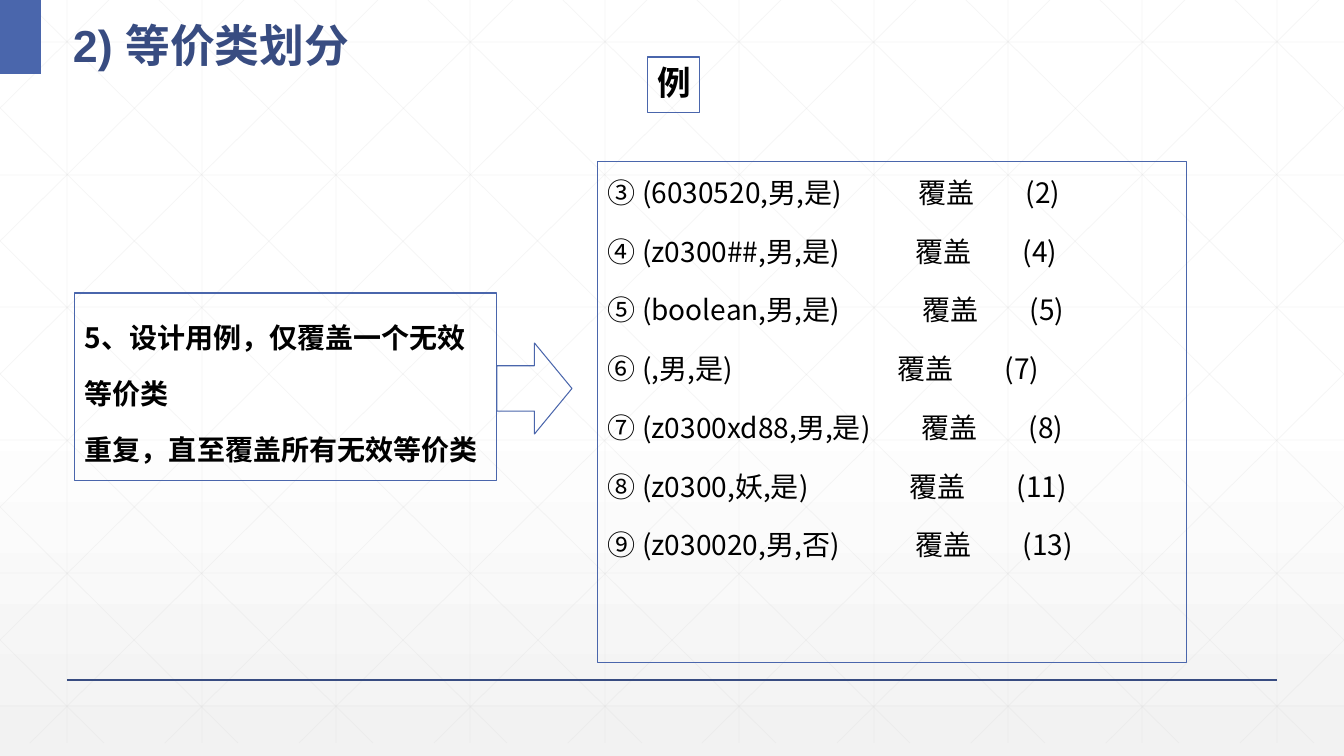
from copy import deepcopy
from dataclasses import dataclass

from lxml import etree
from pptx import Presentation
from pptx.dml.color import RGBColor
from pptx.enum.shapes import MSO_CONNECTOR, MSO_SHAPE
from pptx.enum.text import MSO_ANCHOR, PP_ALIGN
from pptx.oxml.ns import qn
from pptx.util import Pt

STRAIGHT = MSO_CONNECTOR.STRAIGHT
RECTANGLE = MSO_SHAPE.RECTANGLE
RIGHT_ARROW = MSO_SHAPE.RIGHT_ARROW
TOP = MSO_ANCHOR.TOP
MIDDLE = MSO_ANCHOR.MIDDLE
LEFT = PP_ALIGN.LEFT

COLORS = {
    "white": "FFFFFF",
    "mist": "F2F2F2",
    "grid": "D9D9D9",
    "navy": "384C81",
    "blue": "4A66AC",
    "black": "000000",
}
CJK = "Noto Sans CJK SC"
WIDTH, HEIGHT = 1344, 756
GRID_BOTTOM = 743
DIAGONAL_RUN = 751
DIAGONAL_OFFSET = 25
COLUMN_STEP = WIDTH / 10
ROW_START, ROW_STEP = 42, 132.7
COVERAGE_GAP = 107


@dataclass(frozen=True)
class Box:
    x: int
    y: int
    w: int
    h: int


@dataclass(frozen=True)
class Line:
    x1: int
    y1: int
    x2: int
    y2: int


@dataclass(frozen=True)
class TestCase:
    values: str
    covered: str
    tab: int


TEST_CASES = [
    TestCase("③ (6030520,男,是)", "(2)", 311),
    TestCase("④ (z0300##,男,是)", "(4)", 308),
    TestCase("⑤ (boolean,男,是)", "(5)", 315),
    TestCase("⑥ (,男,是)", "(7)", 290),
    TestCase("⑦ (z0300xd88,男,是)", "(8)", 314),
    TestCase("⑧ (z0300,妖,是)", "(11)", 302),
    TestCase("⑨ (z030020,男,否)", "(13)", 308),
]


def px(length: float) -> int:
    return round(length * 914400 / 100.8)


def rgb(color: str) -> RGBColor:
    return RGBColor.from_string(COLORS[color])


def draw_line(slide, line: Line, color: str, width: float, alpha: int = 100) -> None:
    connector = slide.shapes.add_connector(
        STRAIGHT, px(line.x1), px(line.y1), px(line.x2), px(line.y2)
    )
    connector.line.color.rgb = rgb(color)
    connector.line.width = Pt(width)
    properties = connector._element.spPr
    etree.SubElement(properties, qn("a:effectLst"))
    if alpha < 100:
        tone = properties.find(".//" + qn("a:srgbClr"))
        etree.SubElement(tone, qn("a:alpha"), val=str(alpha * 1000))


def draw_shape(slide, kind, box: Box, fill: str = "", outline: str = ""):
    shape = slide.shapes.add_shape(kind, px(box.x), px(box.y), px(box.w), px(box.h))
    shape.shadow.inherit = False
    if fill:
        shape.fill.solid()
        shape.fill.fore_color.rgb = rgb(fill)
    else:
        shape.fill.background()
    if outline:
        shape.line.color.rgb = rgb(outline)
        shape.line.width = Pt(0.75)
    else:
        shape.line.fill.background()
    return shape


def write_text(shape, paragraphs: list[str], *, size: int, color: str = "black",
               font: str = CJK, bold: bool = False, anchor=TOP, spacing=None,
               before: int = 0, tabs: list[list[int]] | None = None) -> None:
    frame = shape.text_frame
    frame.word_wrap = True
    frame.vertical_anchor = anchor
    for index, text in enumerate(paragraphs):
        paragraph = frame.add_paragraph() if index else frame.paragraphs[0]
        paragraph.alignment = LEFT
        if spacing:
            paragraph.line_spacing = spacing
        if index and before:
            paragraph.space_before = Pt(before)
        if tabs:
            stops = etree.SubElement(paragraph._p.get_or_add_pPr(), qn("a:tabLst"))
            for stop in tabs[index]:
                etree.SubElement(stops, qn("a:tab"), pos=str(px(stop)), algn="l")
        run = paragraph.add_run()
        run.text = text
        run.font.name = font
        run.font.size = Pt(size)
        run.font.bold = bold
        run.font.color.rgb = rgb(color)
        etree.SubElement(run._r.get_or_add_rPr(), qn("a:ea"), typeface=CJK)


def paint_background(slide) -> None:
    fill = slide.background.fill
    fill.gradient()
    fill.gradient_angle = 270
    first = slide._element.find(".//" + qn("a:gs"))
    first.addnext(deepcopy(first))
    tones = [(0, "white"), (0.53, "white"), (1, "mist")]
    for stop, (position, color) in zip(fill.gradient_stops, tones):
        stop.position = position
        stop.color.rgb = rgb(color)


def diagonal(start: float) -> Line:
    slope = GRID_BOTTOM / DIAGONAL_RUN
    left = max(start, 0)
    right = min(start + DIAGONAL_RUN, WIDTH)
    return Line(round(left), round((left - start) * slope),
                round(right), round((right - start) * slope))


def grid_lines() -> list[Line]:
    columns = [round(COLUMN_STEP * (i + 0.5)) for i in range(10)]
    rows = [round(ROW_START + ROW_STEP * i) for i in range(6)]
    falling = [diagonal(DIAGONAL_OFFSET + COLUMN_STEP * i) for i in range(-5, 10)]
    rising = [Line(WIDTH - d.x1, d.y1, WIDTH - d.x2, d.y2) for d in falling]
    return ([Line(x, 0, x, GRID_BOTTOM) for x in columns]
            + [Line(0, y, WIDTH, y) for y in rows] + falling + rising)


def main() -> None:
    deck = Presentation()
    deck.slide_width, deck.slide_height = px(WIDTH), px(HEIGHT)
    slide = deck.slides.add_slide(deck.slide_layouts[6])

    paint_background(slide)
    for line in grid_lines():
        draw_line(slide, line, "grid", 0.5, alpha=25)
    draw_line(slide, Line(67, 680, 1277, 680), "navy", 1)
    draw_shape(slide, RECTANGLE, Box(0, 0, 41, 74), fill="blue")

    title = slide.shapes.add_textbox(px(63), px(0), px(574), px(74))
    write_text(title, ["2) 等价类划分"], size=32, color="navy", font="Arial",
               bold=True, anchor=MIDDLE, spacing=1.3)

    example = draw_shape(slide, RECTANGLE, Box(648, 57, 52, 56), outline="blue")
    write_text(example, ["例"], size=24, bold=True)

    step = draw_shape(slide, RECTANGLE, Box(75, 293, 422, 188), outline="blue")
    write_text(step, ["5、设计用例，仅覆盖一个无效等价类", "重复，直至覆盖所有无效等价类"],
               size=20, bold=True, spacing=Pt(40))

    draw_shape(slide, RIGHT_ARROW, Box(497, 343, 75, 91), outline="blue")

    cases = draw_shape(slide, RECTANGLE, Box(598, 162, 589, 501), outline="blue")
    write_text(cases, [f"{case.values}\t覆盖\t{case.covered}" for case in TEST_CASES],
               size=20, spacing=Pt(30), before=12,
               tabs=[[case.tab, case.tab + COVERAGE_GAP] for case in TEST_CASES])

    deck.save("out.pptx")


if __name__ == "__main__":
    main()
